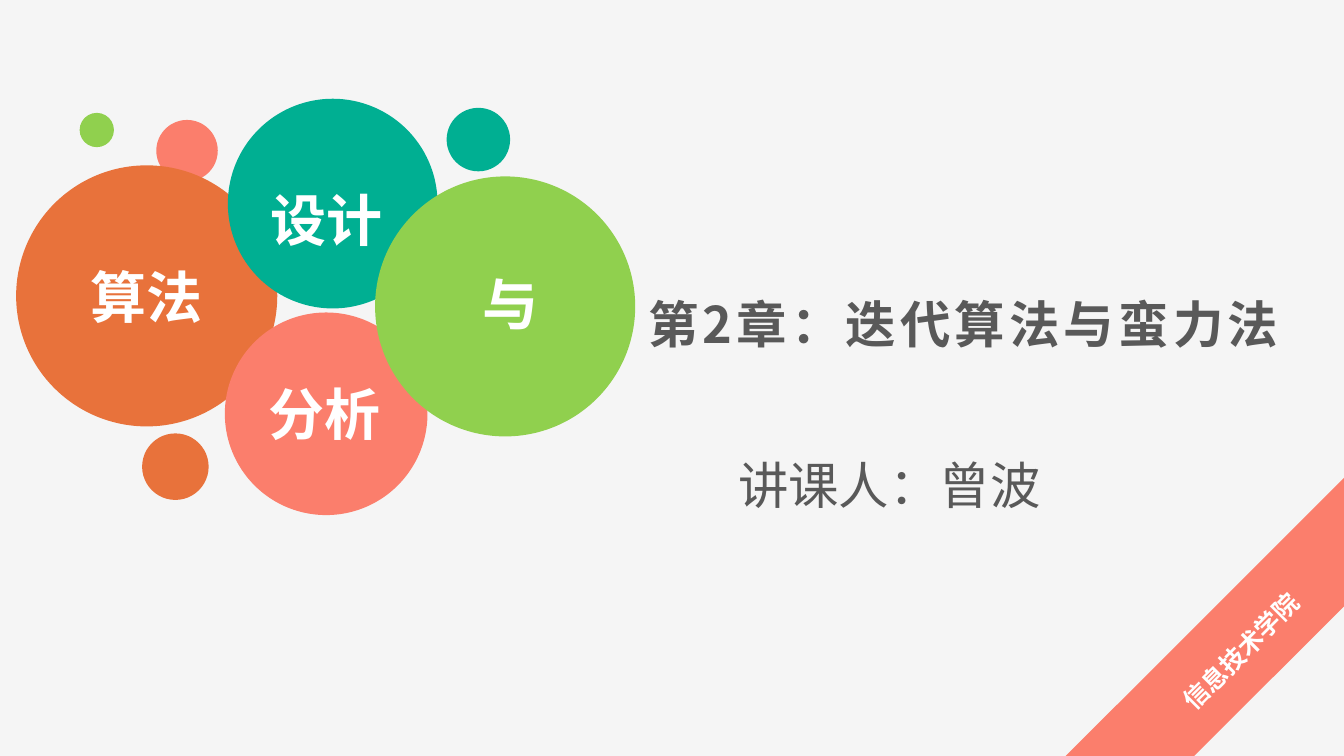
from dataclasses import dataclass

from lxml import etree
from pptx import Presentation
from pptx.dml.color import RGBColor
from pptx.enum import shapes, text
from pptx.oxml import ns
from pptx.util import Inches, Pt


@dataclass(frozen=True)
class Theme:
    """Colours, fonts and type sizes of the slide."""
    paper: str = "F5F5F5"
    ink: str = "595959"
    white: str = "FFFFFF"
    orange: str = "E8723B"
    teal: str = "00AF92"
    coral: str = "FB7E6C"
    green: str = "90D04E"
    hanzi: str = "Noto Sans CJK SC"
    latin: str = "Arial"
    heading: int = 36
    bubble: int = 40
    ribbon: int = 18


THEME = Theme()
CHAPTER = ("第2章：迭代算法与蛮力法", (5.06, 2.86, 8.99, 0.71))
LECTURER = ("讲课人：曾波", (7.22, 4.15, 4.7, 0.9))
SCHOOL = ("信息技术学院", (11.43, 6.24, 1.72, 0.41))
RIBBON = (10.57, 4.73, 2.77, 2.77)
DOTS = [
    (1.41, 4.3, 0.66, THEME.orange),
    (4.43, 1.07, 0.63, THEME.teal),
    (1.55, 1.19, 0.61, THEME.coral),
    (0.79, 1.12, 0.34, THEME.green),
]
BUBBLES = [
    ((0.16, 1.64, 2.59, THEME.orange), "算法", (0.51, 2.56, 1.88, 0.75)),
    ((2.26, 0.98, 2.08, THEME.teal), "设计", (2.56, 1.79, 1.36, 0.77)),
    ((2.23, 3.1, 2.01, THEME.coral), "分析", (2.54, 3.71, 1.36, 0.77)),
    ((3.72, 1.75, 2.58, THEME.green), "与", (4.23, 2.62, 1.66, 0.77)),
]


def inches(box):
    """Convert a box of numbers to lengths."""
    return [Inches(length) for length in box]


def add_solid(slide, preset, box, colour):
    """Add a flat shape without outline or shadow."""
    solid = slide.shapes.add_shape(preset, *inches(box))
    solid.shadow.inherit = False
    solid.fill.solid()
    solid.fill.fore_color.rgb = RGBColor.from_string(colour)
    solid.line.fill.background()
    return solid


def add_circle(slide, left, top, diameter, colour):
    """Add a filled circle."""
    add_solid(slide, shapes.MSO_SHAPE.OVAL, (left, top, diameter, diameter), colour)


def write(holder, words, size, colour, latin=THEME.hanzi, bold=True, centred=True,
          spacing=1.0, tracking=0, anchor=text.MSO_ANCHOR.TOP, wrap=True):
    """Write one formatted paragraph in a placeholder or text box."""
    frame = holder.text_frame
    frame.text = words
    frame.word_wrap = wrap
    frame.auto_size = text.MSO_AUTO_SIZE.SHAPE_TO_FIT_TEXT
    frame.vertical_anchor = anchor
    line = frame.paragraphs[0]
    line.alignment = text.PP_ALIGN.CENTER if centred else text.PP_ALIGN.LEFT
    line.line_spacing = spacing
    line.space_before = Pt(0)
    line.font.size = Pt(size)
    line.font.bold = bold
    line.font.name = latin
    line.font.color.rgb = RGBColor.from_string(colour)
    defaults = line._p.pPr.find(ns.qn("a:defRPr"))
    defaults.set("spc", str(tracking * 100))
    etree.SubElement(defaults, ns.qn("a:ea"), typeface=THEME.hanzi)


def place(holder, box):
    """Move and size a placeholder."""
    holder.left, holder.top, holder.width, holder.height = inches(box)


def main():
    """Build and save the cover slide."""
    deck = Presentation()
    deck.slide_width, deck.slide_height = Inches(13.33), Inches(7.5)
    cover = deck.slides.add_slide(deck.slide_layouts[0])
    cover.background.fill.solid()
    cover.background.fill.fore_color.rgb = RGBColor.from_string(THEME.paper)

    chapter, lecturer = cover.placeholders
    place(chapter, CHAPTER[1])
    write(chapter, CHAPTER[0], THEME.heading, THEME.ink, tracking=3)
    place(lecturer, LECTURER[1])
    write(lecturer, LECTURER[0], THEME.heading, THEME.ink, bold=False,
          centred=False, spacing=1.5)

    for dot in DOTS:
        add_circle(cover, *dot)
    for circle, word, box in BUBBLES:
        add_circle(cover, *circle)
        label = cover.shapes.add_textbox(*inches(box))
        write(label, word, THEME.bubble, THEME.white, latin=THEME.latin,
              anchor=text.MSO_ANCHOR.MIDDLE)

    ribbon = add_solid(cover, shapes.MSO_SHAPE.DIAGONAL_STRIPE, RIBBON, THEME.coral)
    ribbon.adjustments[0] = 0.54
    ribbon.rotation = 180
    school = cover.shapes.add_textbox(*inches(SCHOOL[1]))
    school.rotation = 315
    write(school, SCHOOL[0], THEME.ribbon, THEME.white, spacing=1.1, wrap=False)

    deck.save("out.pptx")


if __name__ == "__main__":
    main()
